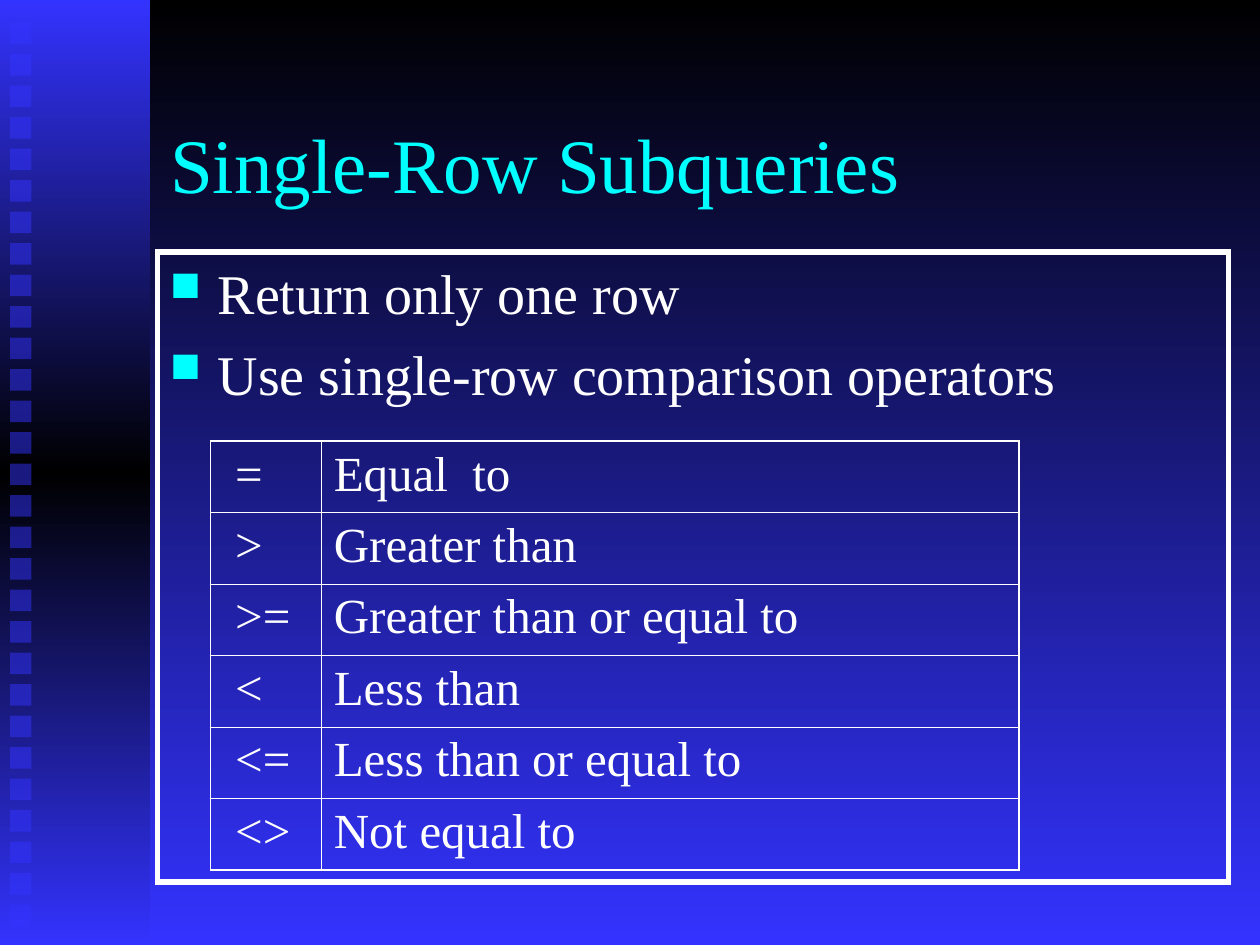
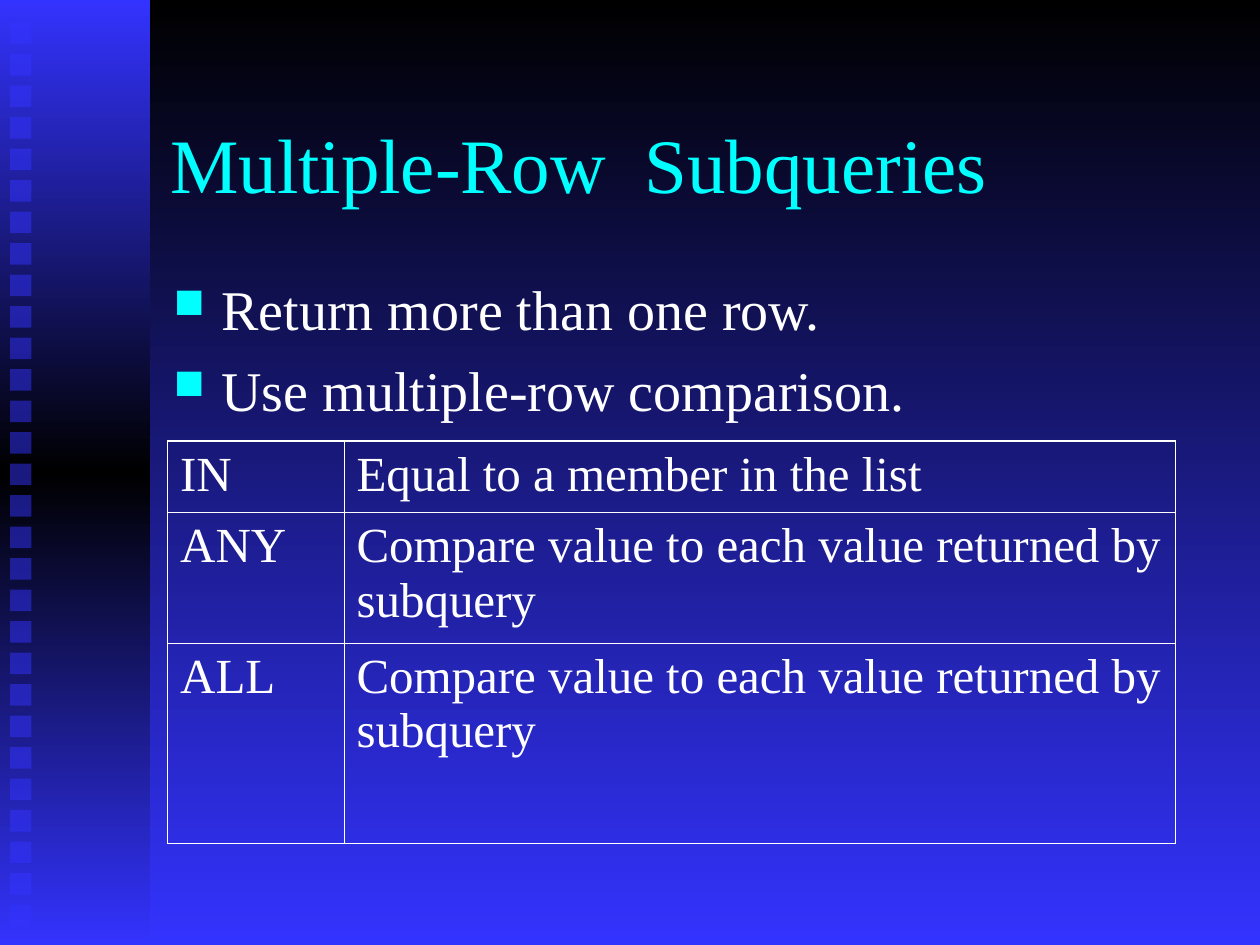
"""Two slides on SQL subqueries, with a shared side band and gradient background."""
from dataclasses import dataclass

from lxml import etree
from pptx import Presentation
from pptx.dml.color import RGBColor
from pptx.enum.shapes import MSO_SHAPE
from pptx.enum.text import MSO_ANCHOR, PP_ALIGN
from pptx.oxml.ns import qn
from pptx.util import Inches, Pt

RECT = MSO_SHAPE.RECTANGLE
MIDDLE = MSO_ANCHOR.MIDDLE
LEFT = PP_ALIGN.LEFT
TITLE_ONLY = 5


@dataclass(frozen=True)
class Theme:
    """Colours, type sizes and line widths."""
    font: str = "Times New Roman"
    black: str = "000000"
    blue: str = "3333FF"
    cyan: str = "00FFFF"
    white: str = "FFFFFF"
    title_size: int = 44
    body_size: int = 32
    table_size: int = 28
    frame_width: float = 3
    outer_width: float = 1.08
    inner_width: float = 0.45


T = Theme()

SINGLE_ROW_OPERATORS = [
    (" =", "Equal  to"),
    (" >", "Greater than"),
    (" >=", "Greater than or equal to"),
    (" <", "Less than"),
    (" <=", "Less than or equal to"),
    (" <>", "Not equal to"),
]
MULTIPLE_ROW_OPERATORS = [
    ("IN", "Equal to a member in the list"),
    ("ANY", "Compare value to each value returned by subquery"),
    ("ALL", "Compare value to each value returned by subquery"),
]


def sub(parent, tag, **attrs):
    """Append an XML child with the given attributes."""
    child = etree.SubElement(parent, qn(tag))
    for name, value in attrs.items():
        child.set(name, str(value))
    return child


def style(p, size, color):
    """Set the font of a paragraph."""
    p.alignment = LEFT
    p.font.name = T.font
    p.font.size = Pt(size)
    p.font.color.rgb = RGBColor.from_string(color)


def set_gradient(fill, element, colors):
    """Fill with evenly spaced colours from top to bottom."""
    fill.gradient()
    fill.gradient_angle = 270
    stops = next(element.iter(qn("a:gsLst")))
    for stop in list(stops):
        stops.remove(stop)
    for i, color in enumerate(colors):
        stop = sub(stops, "a:gs", pos=100000 * i // (len(colors) - 1))
        sub(stop, "a:srgbClr", val=color)


def add_rect(shapes, left, top, width, height):
    """Add a rectangle without line or shadow."""
    sp = shapes.add_shape(RECT, Inches(left), Inches(top), Inches(width), Inches(height))
    sp.shadow.inherit = False
    sp.line.fill.background()
    return sp


def add_band(prs, s):
    """Build the side band with its squares and move it to the slide master."""
    group = s.shapes.add_group_shape()
    band = add_rect(group.shapes, 0, 0, 1.19, 7.5)
    set_gradient(band.fill, band.element, [T.blue, T.black, T.blue])
    for i in range(29):
        square = add_rect(group.shapes, 0.08, 0.18 + 0.25 * i, 0.17, 0.17)
        square.fill.solid()
        square.fill.fore_color.rgb = RGBColor.from_string(T.blue)
        sub(next(square.element.iter(qn("a:srgbClr"))), "a:alpha", val=50000)
    for i, props in enumerate(group.element.iter(qn("p:cNvPr"))):
        props.set("id", str(100 + i))
    prs.slide_master.shapes.element.insert(2, group.element)


def add_title(s, text):
    """Place and format the title."""
    title = s.shapes.title
    title.left, title.top = Inches(1.25), Inches(0.67)
    title.width, title.height = Inches(8.5), Inches(1.25)
    tf = title.text_frame
    tf.text = text
    tf.vertical_anchor = MIDDLE
    style(tf.paragraphs[0], T.title_size, T.cyan)


def add_bullets(s, left, top, height, lines, framed=False):
    """Add a bulleted text box, with a white frame if asked."""
    box = s.shapes.add_textbox(Inches(left), Inches(top), Inches(8.5), Inches(height))
    if framed:
        box.line.color.rgb = RGBColor.from_string(T.white)
        box.line.width = Pt(T.frame_width)
        sub(next(box.element.iter(qn("a:ln"))), "a:miter", lim=800000)
    tf = box.text_frame
    tf.word_wrap = True
    for i, line in enumerate(lines):
        p = tf.add_paragraph() if i else tf.paragraphs[0]
        p.text = line
        p.space_before = Pt(8)
        style(p, T.body_size, T.white)
        props = next(p.runs[0].font.fill and p._p.iter(qn("a:pPr")))
        props.set("marL", str(Inches(0.38)))
        props.set("indent", str(-Inches(0.38)))
        bullet = etree.Element(qn("a:buClr"))
        sub(bullet, "a:srgbClr", val=T.cyan)
        size = etree.Element(qn("a:buSzPct"), val="75000")
        char = etree.Element(qn("a:buChar"), char="■")
        defaults = props.find(qn("a:defRPr"))
        for mark in (bullet, size, char):
            defaults.addprevious(mark)


def set_borders(cell, row, col, last_row, last_col):
    """Draw cell borders, heavier along the table's outer edge."""
    edges = {"a:lnL": col == 0, "a:lnR": col == last_col,
             "a:lnT": row == 0, "a:lnB": row == last_row}
    props = next(cell.text_frame._txBody.getparent().iter(qn("a:tcPr")))
    for i, (tag, outer) in enumerate(edges.items()):
        width = T.outer_width if outer else T.inner_width
        line = etree.Element(qn(tag), w=str(Pt(width)))
        sub(sub(line, "a:solidFill"), "a:srgbClr", val=T.white)
        props.insert(i, line)


def add_operator_table(s, left, widths, heights, rows):
    """Add a table of operators and their meanings."""
    frame = s.shapes.add_table(len(rows), len(widths), Inches(left), Inches(3.5),
                               Inches(sum(widths)), Inches(sum(heights)))
    table = frame.table
    table.first_row = table.horz_banding = False
    for column, width in zip(table.columns, widths):
        column.width = Inches(width)
    for i, (values, height) in enumerate(zip(rows, heights)):
        table.rows[i].height = Inches(height)
        for j, value in enumerate(values):
            cell = table.cell(i, j)
            cell.text = value
            cell.fill.background()
            p = cell.text_frame.paragraphs[0]
            p.space_before = Pt(7)
            style(p, T.table_size, T.white)
            set_borders(cell, i, j, len(rows) - 1, len(widths) - 1)


def add_slide(prs, title):
    """Add a title-only slide."""
    s = prs.slides.add_slide(prs.slide_layouts[TITLE_ONLY])
    add_title(s, title)
    return s


def main():
    """Build and save the presentation."""
    prs = Presentation()
    prs.slide_width, prs.slide_height = Inches(10), Inches(7.5)
    master = prs.slide_master
    set_gradient(master.background.fill, master.element, [T.black, T.blue])

    s = add_slide(prs, "Single-Row Subqueries")
    add_band(prs, s)
    add_bullets(s, 1.25, 2, 5, ["Return only one row",
                                "Use single-row comparison operators"], framed=True)
    add_operator_table(s, 1.67, [0.88, 5.54], [3.4 / 6] * 6, SINGLE_ROW_OPERATORS)

    s = add_slide(prs, "Multiple-Row  Subqueries")
    add_bullets(s, 1.28, 2.13, 4.5, ["Return more than one row.",
                                     "Use multiple-row comparison."])
    add_operator_table(s, 1.33, [1.4, 6.6], [0.57, 1.03, 1.59], MULTIPLE_ROW_OPERATORS)

    prs.save("out.pptx")


main()
